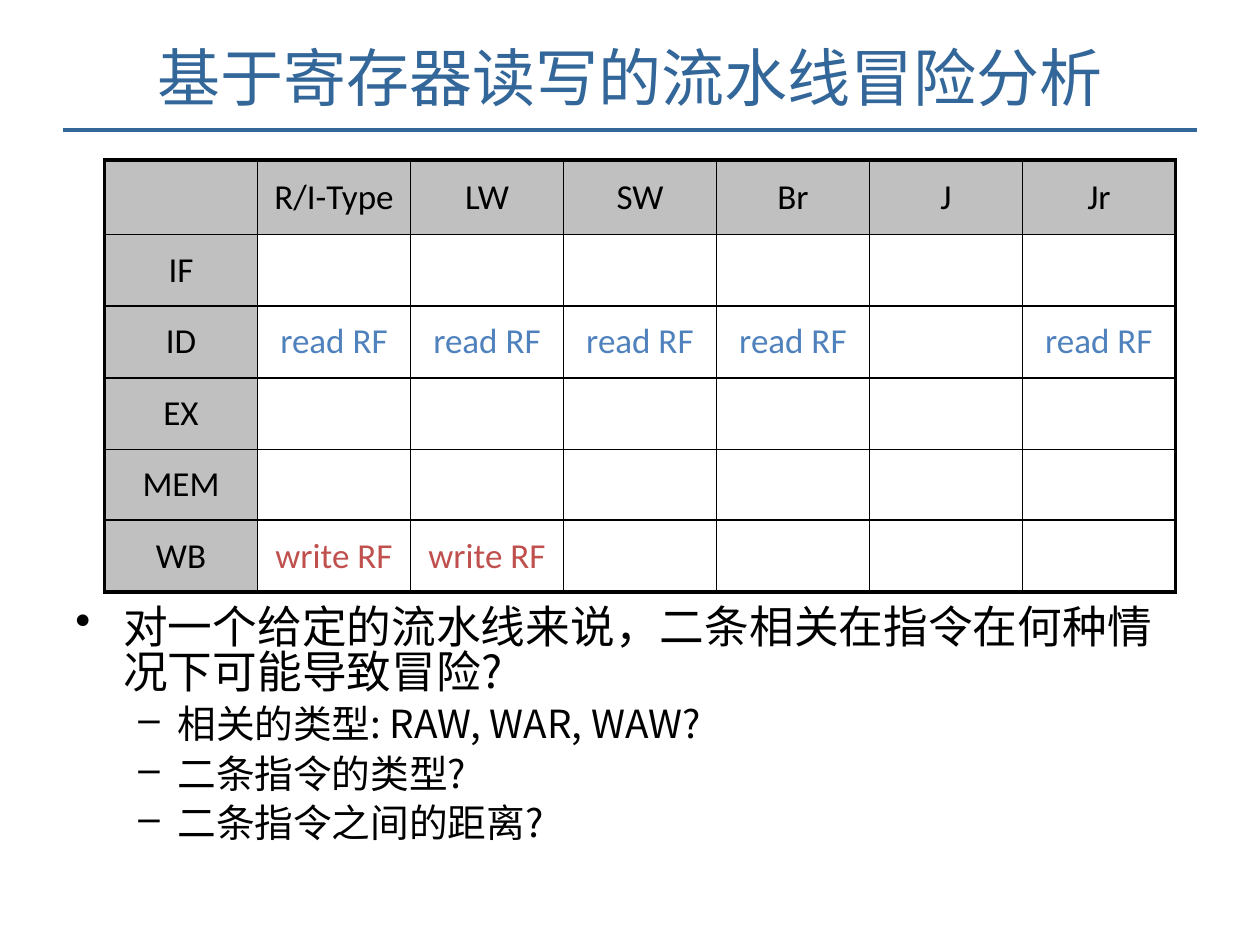
import pptx
import pptx.chart.data
import pptx.dml.color
import pptx.enum.shapes
import pptx.enum.text
import pptx.oxml.ns
import pptx.util
from lxml import etree

Inches, Pt = pptx.util.Inches, pptx.util.Pt
qn = pptx.oxml.ns.qn
ALIGN = pptx.enum.text.PP_ALIGN
MIDDLE = pptx.enum.text.MSO_ANCHOR.MIDDLE

# Content
TITLE = "基于寄存器读写的流水线冒险分析"
INSTRUCTIONS = ["R/I-Type", "LW", "SW", "Br", "J", "Jr"]
STAGES = ["IF", "ID", "EX", "MEM", "WB"]
REGISTER_USE = {
    "ID": ("read RF", "4F81BD", ["R/I-Type", "LW", "SW", "Br", "Jr"]),
    "WB": ("write RF", "C0504D", ["R/I-Type", "LW"]),
}
QUESTIONS = [
    (0, "对一个给定的流水线来说，二条相关在指令在何种情况下可能导致冒险?"),
    (1, "相关的类型: RAW, WAR, WAW?"),
    (1, "二条指令的类型?"),
    (1, "二条指令之间的距离?"),
]

# Style
CHINESE, LATIN = "Noto Sans CJK SC", "Calibri"
BLACK, BLUE, GRAY = "000000", "336699", "C0C0C0"
# level: bullet, text size, left margin, hanging indent
LEVELS = {0: ("•", 25.5, 0.38, 0.38), 1: ("–", 22.1, 0.81, 0.31)}
ROW_HEIGHTS = [0.59, 0.57, 0.57, 0.57, 0.56, 0.57]
TABLE_LEFT, TABLE_TOP, TABLE_WIDTH = 0.83, 1.27, 8.5
THIN, THICK = 1, 2.25


def color(value):
    return pptx.dml.color.RGBColor.from_string(value)


def write(paragraph, text, size=20, font=LATIN, fill=BLACK, align=ALIGN.LEFT):
    paragraph.alignment = align
    run = paragraph.add_run()
    run.text = text
    run.font.size = Pt(size)
    run.font.name = font
    run.font.color.rgb = color(fill)
    east_asian = etree.SubElement(run.font._element, qn("a:ea"))
    east_asian.set("typeface", font)


def add_text_frame(slide, left, top, width, height):
    box = slide.shapes.add_textbox(*map(Inches, (left, top, width, height)))
    box.text_frame.word_wrap = True
    return box.text_frame


def set_bullet(paragraph, character, margin, hanging):
    properties = paragraph._p.get_or_add_pPr()
    properties.set("marL", str(Inches(margin)))
    properties.set("indent", str(-Inches(hanging)))
    bullet = etree.SubElement(properties, qn("a:buChar"))
    bullet.set("char", character)


def set_borders(cell, widths):
    properties = cell._tc.get_or_add_tcPr()
    for side, width in widths.items():
        line = etree.SubElement(properties, qn(f"a:ln{side}"), w=str(Pt(width)))
        fill = etree.SubElement(line, qn("a:solidFill"))
        etree.SubElement(fill, qn("a:srgbClr"), val=BLACK)


def cell_text(row, column):
    """Return the words and colour of one table cell."""
    if row == 0:
        return ([""] + INSTRUCTIONS)[column], BLACK
    stage = STAGES[row - 1]
    if column == 0:
        return stage, BLACK
    text, fill, users = REGISTER_USE.get(stage, ("", BLACK, []))
    return (text if INSTRUCTIONS[column - 1] in users else ""), fill


def add_title(slide):
    rule = slide.shapes.add_connector(
        pptx.enum.shapes.MSO_CONNECTOR.STRAIGHT,
        Inches(0.5), Inches(1.03), Inches(9.5), Inches(1.03))
    rule.line.color.rgb = color(BLUE)
    rule.line.width = Pt(2)
    etree.SubElement(rule._element.spPr, qn("a:effectLst"))

    frame = add_text_frame(slide, 0, 0.23, 10, 0.75)
    frame.vertical_anchor = MIDDLE
    write(frame.paragraphs[0], TITLE, size=36, font=CHINESE, fill=BLUE,
          align=ALIGN.CENTER)


def add_stage_table(slide):
    row_count, column_count = len(STAGES) + 1, len(INSTRUCTIONS) + 1
    table = slide.shapes.add_table(
        row_count, column_count, Inches(TABLE_LEFT), Inches(TABLE_TOP),
        Inches(TABLE_WIDTH), Inches(sum(ROW_HEIGHTS))).table
    for column in table.columns:
        column.width = Inches(TABLE_WIDTH / column_count)
    for row, height in zip(table.rows, ROW_HEIGHTS):
        row.height = Inches(height)

    for row in range(row_count):
        for column in range(column_count):
            cell = table.cell(row, column)
            cell.margin_left = cell.margin_right = 0
            cell.margin_top = cell.margin_bottom = 0
            cell.vertical_anchor = MIDDLE
            # Thick outer frame, thin inner grid
            set_borders(cell, {
                "L": THICK if column == 0 else THIN,
                "R": THICK if column == column_count - 1 else THIN,
                "T": THICK if row == 0 else THIN,
                "B": THICK if row == row_count - 1 else THIN,
            })
            if row == 0 or column == 0:
                cell.fill.solid()
                cell.fill.fore_color.rgb = color(GRAY)
            else:
                cell.fill.background()
            text, fill = cell_text(row, column)
            if text:
                write(cell.text_frame.paragraphs[0], text, fill=fill,
                      align=ALIGN.CENTER)


def add_questions(slide):
    frame = add_text_frame(slide, 0.5, 4.77, 9, 2.5)
    for index, (level, text) in enumerate(QUESTIONS):
        paragraph = frame.add_paragraph() if index else frame.paragraphs[0]
        character, size, margin, hanging = LEVELS[level]
        set_bullet(paragraph, character, margin, hanging)
        paragraph.level = level
        paragraph.line_spacing = 0.84
        paragraph.space_after = Pt(6)
        write(paragraph, text, size=size, font=CHINESE)


def main():
    presentation = pptx.Presentation()
    presentation.slide_width, presentation.slide_height = Inches(10), Inches(7.5)
    slide = presentation.slides.add_slide(presentation.slide_layouts[6])
    add_title(slide)
    add_stage_table(slide)
    add_questions(slide)
    presentation.save("out.pptx")


if __name__ == "__main__":
    main()
